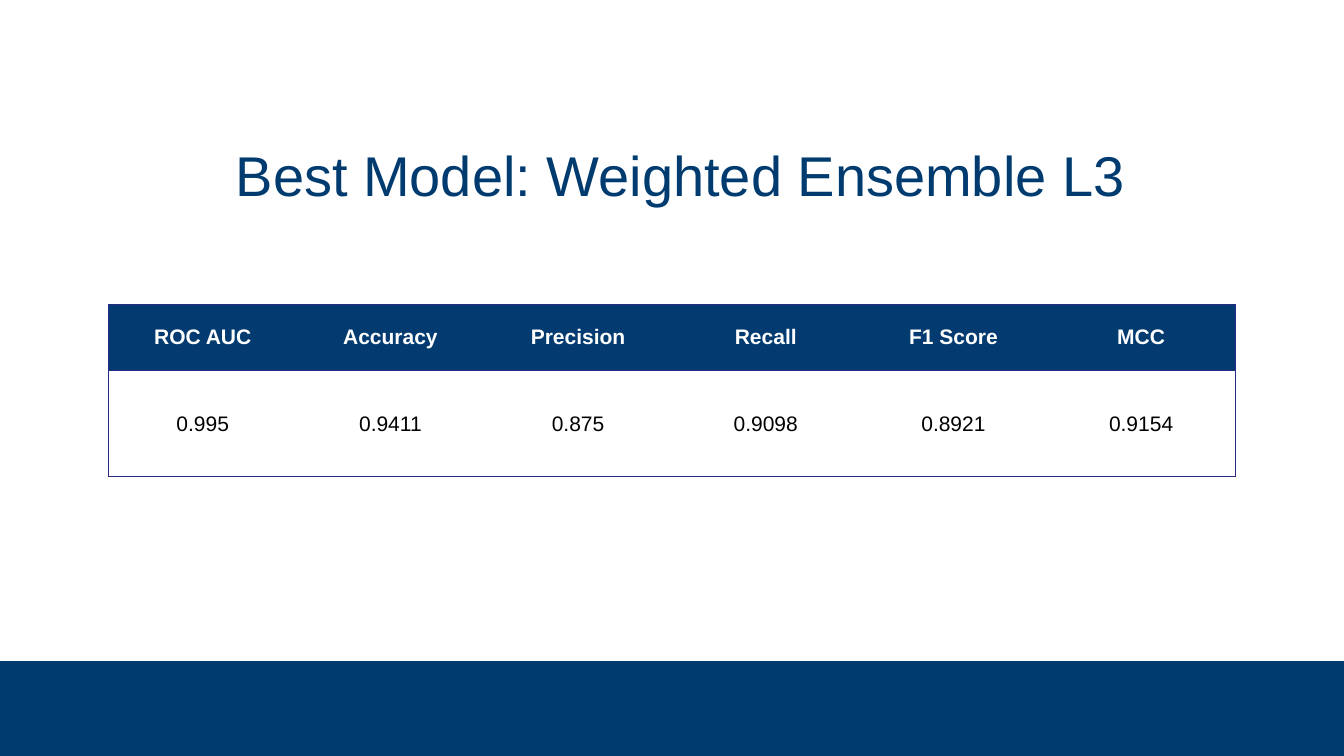
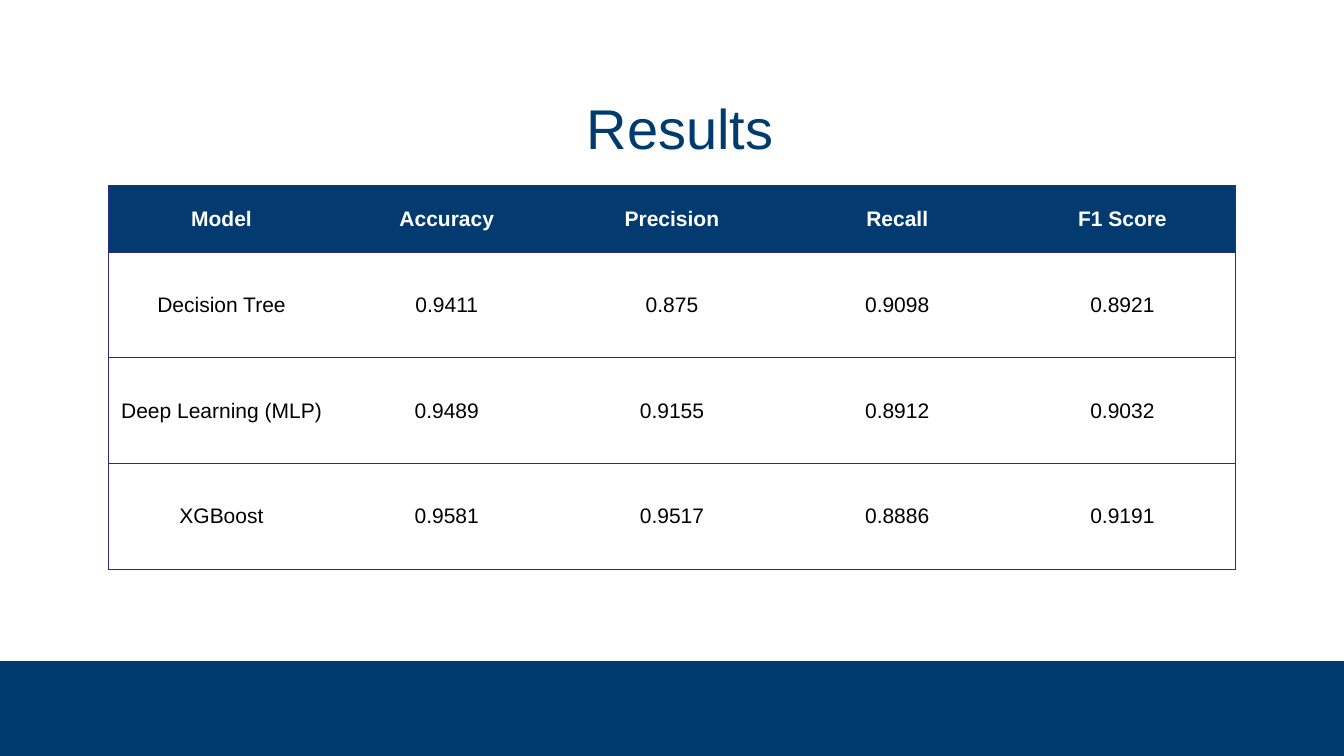
"""Build two slides that report classification model results."""
from dataclasses import dataclass

from lxml import etree
from pptx import Presentation
from pptx.dml.color import RGBColor
from pptx.enum import shapes, text
from pptx.oxml import ns
from pptx.util import Inches, Pt

NAVY = RGBColor(0x00, 0x3B, 0x70)
HEADER_NAVY = RGBColor(0x03, 0x3B, 0x70)
INDIGO = RGBColor(0x2A, 0x2A, 0x89)
WHITE = RGBColor(0xFF, 0xFF, 0xFF)
BLACK = RGBColor(0x00, 0x00, 0x00)
FONT = "Arial"
PLAIN_TABLE_STYLE = "{2D5ABB26-0587-4C30-8999-92F81FD0307C}"

SLIDE_WIDTH, SLIDE_HEIGHT = Inches(13.33), Inches(7.5)
BAND_TOP = Inches(6.56)
CONTENT_LEFT = Inches(1.08)
TITLE_WIDTH, TITLE_HEIGHT = Inches(11.33), Inches(1.25)
TABLE_WIDTH = Inches(11.17)
HEADER_HEIGHT, ROW_HEIGHT = Inches(0.66), Inches(1.05)
BORDER_WIDTH = Pt(0.75)


@dataclass(frozen=True)
class ResultSlide:
    title: str
    title_top: float
    table_top: float
    rows: tuple[tuple[str, ...], ...]


RESULT_SLIDES = (
    ResultSlide(
        "Best Model: Weighted Ensemble L3", 0.66, 3.02,
        (
            ("ROC AUC", "Accuracy", "Precision", "Recall", "F1 Score", "MCC"),
            ("0.995", "0.9411", "0.875", "0.9098", "0.8921", "0.9154"),
        ),
    ),
    ResultSlide(
        "Results", 0.19, 1.84,
        (
            ("Model", "Accuracy", "Precision", "Recall", "F1 Score"),
            ("Decision Tree", "0.9411", "0.875", "0.9098", "0.8921"),
            ("Deep Learning (MLP)", "0.9489", "0.9155", "0.8912", "0.9032"),
            ("XGBoost", "0.9581", "0.9517", "0.8886", "0.9191"),
        ),
    ),
)


def style_paragraph(paragraph, size: float, color: RGBColor, bold: bool = False) -> None:
    paragraph.alignment = text.PP_ALIGN.CENTER
    paragraph.font.name = FONT
    paragraph.font.size = Pt(size)
    paragraph.font.bold = bold
    paragraph.font.color.rgb = color


def add_band(slide) -> None:
    band = slide.shapes.add_shape(
        shapes.MSO_SHAPE.RECTANGLE, 0, BAND_TOP, SLIDE_WIDTH, SLIDE_HEIGHT - BAND_TOP
    )
    band.shadow.inherit = False
    band.fill.solid()
    band.fill.fore_color.rgb = NAVY
    band.line.fill.background()


def set_title(slide, wording: str, top: float) -> None:
    title = slide.shapes.title
    title.left, title.top = CONTENT_LEFT, Inches(top)
    title.width, title.height = TITLE_WIDTH, TITLE_HEIGHT
    frame = title.text_frame
    frame.text = wording
    frame.word_wrap = True
    frame.auto_size = text.MSO_AUTO_SIZE.NONE
    frame.vertical_anchor = text.MSO_ANCHOR.MIDDLE
    frame.margin_left = frame.margin_right = frame.margin_top = frame.margin_bottom = 0
    frame.paragraphs[0].line_spacing = 2.33
    style_paragraph(frame.paragraphs[0], 40, NAVY)


def add_borders(cell, sides: str) -> None:
    properties = cell._tc.get_or_add_tcPr()
    for side in sides:
        border = etree.SubElement(properties, ns.qn(f"a:ln{side}"), w=str(BORDER_WIDTH))
        fill = etree.SubElement(border, ns.qn("a:solidFill"))
        etree.SubElement(fill, ns.qn("a:srgbClr"), val=str(INDIGO))


def format_cell(cell, wording: str, is_header: bool, sides: str) -> None:
    cell.text = wording
    cell.vertical_anchor = text.MSO_ANCHOR.MIDDLE
    cell.margin_left = cell.margin_right = Inches(0.11)
    cell.margin_top = cell.margin_bottom = Inches(0.05)
    add_borders(cell, sides)
    if is_header:
        cell.fill.solid()
        cell.fill.fore_color.rgb = HEADER_NAVY
    else:
        cell.fill.background()
    color = WHITE if is_header else BLACK
    style_paragraph(cell.text_frame.paragraphs[0], 15, color, bold=is_header)


def add_metrics_table(slide, rows: tuple[tuple[str, ...], ...], top: float) -> None:
    column_count = len(rows[0])
    height = HEADER_HEIGHT + ROW_HEIGHT * (len(rows) - 1)
    metrics = slide.shapes.add_table(
        len(rows), column_count, CONTENT_LEFT, Inches(top), TABLE_WIDTH, height
    ).table
    metrics.horz_banding = False
    metrics._tbl.tblPr.find(ns.qn("a:tableStyleId")).text = PLAIN_TABLE_STYLE
    for column in metrics.columns:
        column.width = TABLE_WIDTH // column_count
    for row_index, row in enumerate(rows):
        is_header = row_index == 0
        metrics.rows[row_index].height = HEADER_HEIGHT if is_header else ROW_HEIGHT
        for column_index, wording in enumerate(row):
            left = "L" if column_index == 0 else ""
            right = "R" if column_index == column_count - 1 else ""
            cell = metrics.cell(row_index, column_index)
            format_cell(cell, wording, is_header, left + right + "TB")


def main() -> None:
    deck = Presentation()
    deck.slide_width, deck.slide_height = SLIDE_WIDTH, SLIDE_HEIGHT
    title_only = deck.slide_layouts.get_by_name("Title Only")
    for result in RESULT_SLIDES:
        slide = deck.slides.add_slide(title_only)
        add_band(slide)
        set_title(slide, result.title, result.title_top)
        add_metrics_table(slide, result.rows, result.table_top)
    deck.save("out.pptx")


if __name__ == "__main__":
    main()
